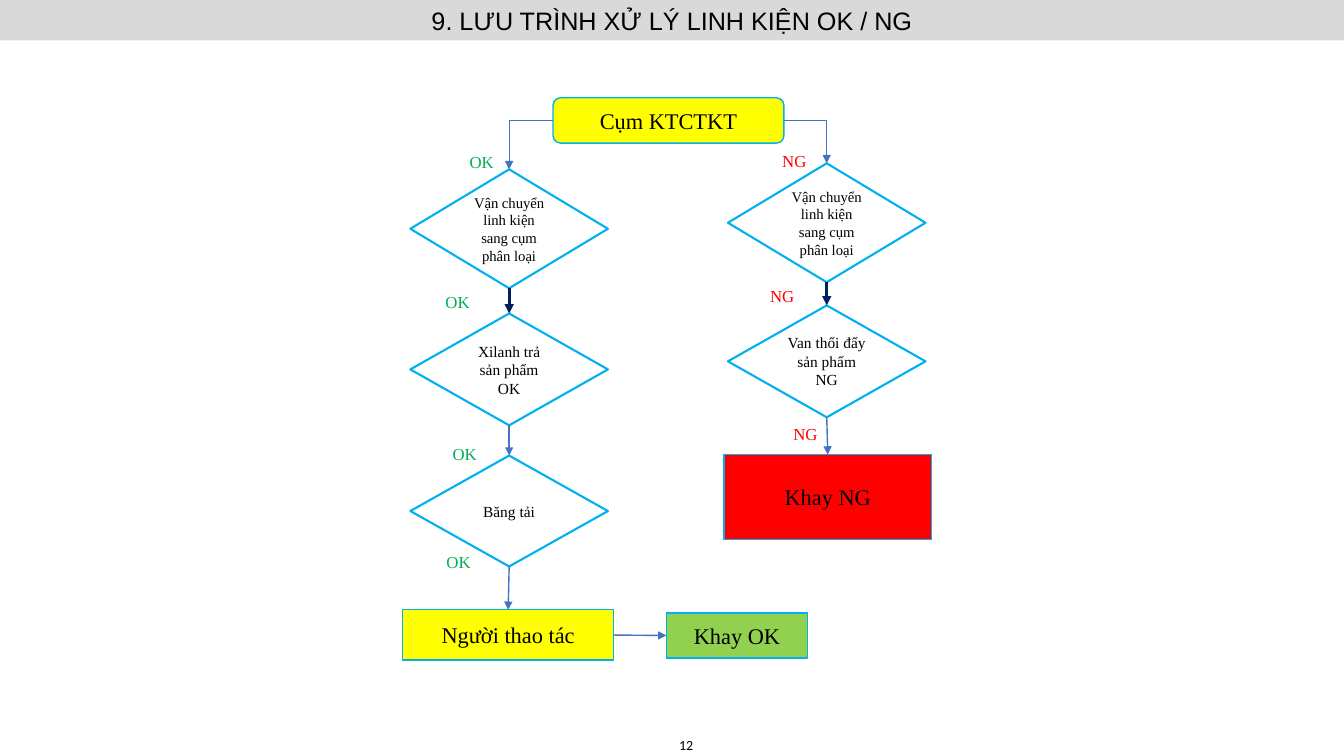
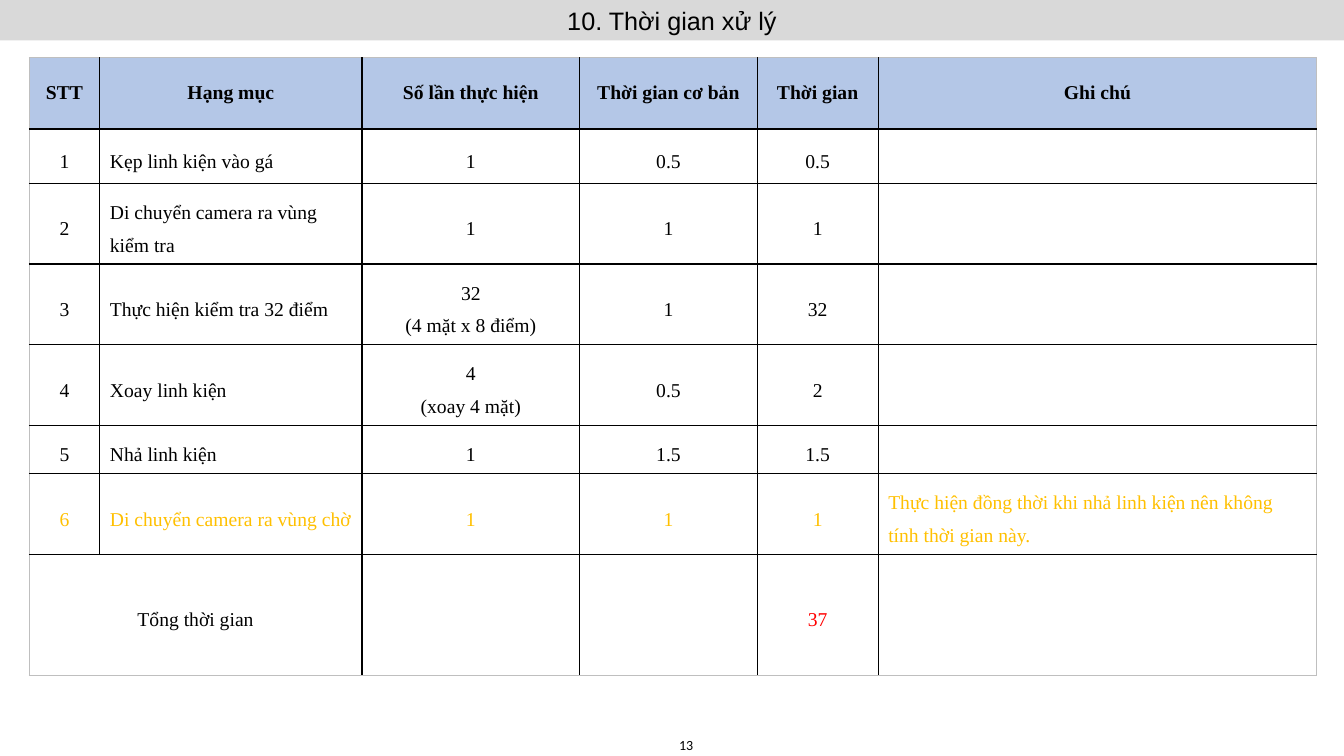
from lxml.etree import SubElement
from pptx import Presentation
from pptx.dml.color import RGBColor
from pptx.enum.shapes import MSO_CONNECTOR as LINK, MSO_SHAPE as SHAPE
from pptx.enum.text import MSO_ANCHOR as ANCHOR, MSO_AUTO_SIZE as FIT, PP_ALIGN as ALIGN
from pptx.oxml.ns import qn
from pptx.util import Inches, Pt

WIDTH, HEIGHT = 13.33, 7.5
COLORS = {
    "black": "000000", "white": "FFFFFF", "band": "D9D9D9", "outline": "00B0F0",
    "yellow": "FFFF00", "red": "FF0000", "lime": "92D050", "green": "00B050",
    "blue": "4472C4", "navy": "002060", "header": "B4C7E7", "amber": "FFC000",
    "frame": "BFBFBF",
}
SERIF = "Times New Roman"
OK_X, NG_X, TRAY_X = 5.05, 8.2, 7.31
DIAMOND_W = 1.96

FLOW_TITLE = "9. LƯU TRÌNH XỬ LÝ LINH KIỆN OK / NG"
TRANSFER = "Vận chuyển linh kiện sang cụm phân loại"
NODES = {
    "start": ("Cụm KTCTKT", SHAPE.FLOWCHART_ALTERNATE_PROCESS, 6.63, 0.97, 2.29, 0.45, 16, "yellow"),
    "ok_move": (TRANSFER, SHAPE.FLOWCHART_DECISION, OK_X, 1.68, DIAMOND_W, 1.18, 10.5, None),
    "cylinder": ("Xilanh trả sản phẩm OK", SHAPE.FLOWCHART_DECISION, OK_X, 3.11, DIAMOND_W, 1.11, 11, None),
    "conveyor": ("Băng tải", SHAPE.FLOWCHART_DECISION, OK_X, 4.52, DIAMOND_W, 1.1, 11, None),
    "operator": ("Người thao tác", SHAPE.RECTANGLE, OK_X - 0.01, 6.05, 2.09, 0.5, 16, "yellow"),
    "ok_tray": ("Khay OK", SHAPE.RECTANGLE, TRAY_X, 6.08, 1.4, 0.45, 16, "lime"),
    "ng_move": (TRANSFER, SHAPE.FLOWCHART_DECISION, NG_X, 1.62, DIAMOND_W, 1.18, 10.5, None),
    "valve": ("Van thổi đẩy sản phẩm NG", SHAPE.FLOWCHART_DECISION, NG_X, 3.03, DIAMOND_W, 1.11, 11, None),
    "ng_tray": ("Khay NG", SHAPE.RECTANGLE, NG_X + 0.01, 4.51, 2.06, 0.84, 16, "red"),
}
TOP, LEFT, BOTTOM, RIGHT = range(4)
ARROWS = [
    ("start", LEFT, "ok_move", TOP, "blue", 0.5),
    ("start", RIGHT, "ng_move", TOP, "blue", 0.5),
    ("ok_move", BOTTOM, "cylinder", TOP, "navy", 2.25),
    ("ng_move", BOTTOM, "valve", TOP, "navy", 2.25),
    ("cylinder", BOTTOM, "conveyor", TOP, "blue", 1),
    ("conveyor", BOTTOM, "operator", TOP, "blue", 1),
    ("valve", BOTTOM, "ng_tray", TOP, "blue", 1),
    ("operator", RIGHT, "ok_tray", LEFT, "blue", 1),
]
BRANCH_LABELS = {
    ("OK", "green"): [(4.56, 1.49), (4.32, 2.87), (4.39, 4.38), (4.33, 5.45)],
    ("NG", "red"): [(7.66, 1.48), (7.54, 2.81), (7.77, 4.18)],
}

TIME_TITLE = "10. Thời gian xử lý"
TIME_ROWS = [
    ("STT", "Hạng mục", "Số lần thực hiện", "Thời gian cơ bản", "Thời gian", "Ghi chú"),
    ("1", "Kẹp linh kiện vào gá", "1", "0.5", "0.5", ""),
    ("2", "Di chuyển camera ra vùng kiểm tra", "1", "1", "1", ""),
    ("3", "Thực hiện kiểm tra 32 điểm", "32\n(4 mặt x 8 điểm)", "1", "32", ""),
    ("4", "Xoay linh kiện", "4\n(xoay 4 mặt)", "0.5", "2", ""),
    ("5", "Nhả linh kiện", "1", "1.5", "1.5", ""),
    ("6", "Di chuyển camera ra vùng chờ", "1", "1", "1",
     "Thực hiện đồng thời khi nhả linh kiện nên không tính thời gian này."),
    ("Tổng thời gian", "", "", "", "37", ""),
]
COLUMN_WIDTHS = [0.7, 2.6, 2.16, 1.76, 1.2, 4.35]
ROW_HEIGHTS = [0.71, 0.54, 0.8, 0.8, 0.8, 0.48, 0.8, 1.2]
PARALLEL_ROW, TOTAL_ROW = 6, 7
ITEM_COLUMN, TIME_COLUMN, NOTE_COLUMN = 1, 4, 5


def rgb(name):
    return RGBColor.from_string(COLORS[name])


def apply(target, values):
    for name, value in values.items():
        setattr(target, name, value)


def write(frame, text, size, color="black", font=SERIF, align=ALIGN.CENTER, bold=False, spacing=None):
    apply(frame, {"word_wrap": True, "auto_size": FIT.NONE, "vertical_anchor": ANCHOR.MIDDLE})
    frame.text = text
    for para in frame.paragraphs:
        apply(para, {"alignment": align, "line_spacing": spacing})
        for span in para.runs:
            apply(span.font, {"name": font, "size": Pt(size), "bold": bold})
            span.font.color.rgb = rgb(color)


def paint(shape, fill):
    if fill:
        shape.fill.solid()
        shape.fill.fore_color.rgb = rgb(fill)
    else:
        shape.fill.background()


def add_text(page, text, left, top, width, height, size, **style):
    box = page.shapes.add_textbox(*map(Inches, (left, top, width, height)))
    write(box.text_frame, text, size, **style)


def add_page(deck, title, number):
    page = deck.slides.add_slide(deck.slide_layouts[5])
    band = page.shapes.title
    apply(band, {"left": 0, "top": 0, "width": Inches(WIDTH), "height": Inches(0.4)})
    paint(band, "band")
    write(band.text_frame, title, 18, font="Arial")
    add_text(page, str(number), 5.64, 7.24, 2.33, 0.29, 10, font="Calibri")
    return page


def add_node(page, text, kind, center, top, width, height, size, fill):
    node = page.shapes.add_shape(kind, *map(Inches, (center - width / 2, top, width, height)))
    node.shadow.inherit = False
    paint(node, fill)
    node.line.color.rgb = rgb("outline")
    node.line.width = Pt(1 if fill else 1.5)
    write(node.text_frame, text, size)
    return node


def add_arrow(page, source, source_side, target, target_side, color, width):
    bent = source_side != BOTTOM and target_side == TOP
    arrow = page.shapes.add_connector(LINK.ELBOW if bent else LINK.STRAIGHT, 0, 0, 0, 0)
    arrow.begin_connect(source, source_side)
    arrow.end_connect(target, target_side)
    arrow.line.color.rgb = rgb(color)
    arrow.line.width = Pt(width)
    properties = arrow._element.spPr
    if bent:
        properties.find(qn("a:prstGeom")).set("prst", "bentConnector2")
    SubElement(properties.find(qn("a:ln")), qn("a:tailEnd"), type="triangle")
    SubElement(properties, qn("a:effectLst"))


def add_borders(cell, outer):
    properties = cell._tc.get_or_add_tcPr()
    for side in "LRTB":
        color, width = ("frame", 0.5) if outer[side] else ("black", 1)
        line = SubElement(properties, qn(f"a:ln{side}"), w=str(Pt(width)))
        SubElement(SubElement(line, qn("a:solidFill")), qn("a:srgbClr"), val=COLORS[color])


def cell_style(row, column):
    if row == 0:
        return {"bold": True}
    color = "black"
    if row == PARALLEL_ROW:
        color = "amber"
    elif (row, column) == (TOTAL_ROW, TIME_COLUMN):
        color = "red"
    left = column in (ITEM_COLUMN, NOTE_COLUMN)
    return {"color": color, "align": ALIGN.LEFT if left else ALIGN.CENTER, "spacing": 1.5}


def build_flow(deck):
    page = add_page(deck, FLOW_TITLE, 12)
    nodes = {name: add_node(page, *node) for name, node in NODES.items()}
    for source, source_side, target, target_side, color, width in ARROWS:
        add_arrow(page, nodes[source], source_side, nodes[target], target_side, color, width)
    for (text, color), places in BRANCH_LABELS.items():
        for left, top in places:
            add_text(page, text, left, top, 0.47, 0.24, 12, color=color, align=ALIGN.LEFT)


def build_times(deck):
    page = add_page(deck, TIME_TITLE, 13)
    rows, columns = len(ROW_HEIGHTS), len(COLUMN_WIDTHS)
    size = sum(COLUMN_WIDTHS), sum(ROW_HEIGHTS)
    table = page.shapes.add_table(rows, columns, *map(Inches, (0.29, 0.57, *size))).table
    apply(table, {"first_row": False, "horz_banding": False})
    for column, width in zip(table.columns, COLUMN_WIDTHS):
        column.width = Inches(width)
    for row, height in zip(table.rows, ROW_HEIGHTS):
        row.height = Inches(height)
    for row, texts in enumerate(TIME_ROWS):
        for column, text in enumerate(texts):
            cell = table.cell(row, column)
            add_borders(cell, {"L": column == 0, "R": column == columns - 1,
                               "T": row == 0, "B": row == rows - 1})
            paint(cell, "white" if row else "header")
            cell.vertical_anchor = ANCHOR.MIDDLE
            if text:
                write(cell.text_frame, text, 14, **cell_style(row, column))
    table.cell(TOTAL_ROW, 0).merge(table.cell(TOTAL_ROW, ITEM_COLUMN))


def main():
    deck = Presentation()
    apply(deck, {"slide_width": Inches(WIDTH), "slide_height": Inches(HEIGHT)})
    build_flow(deck)
    build_times(deck)
    deck.save("out.pptx")


if __name__ == "__main__":
    main()
